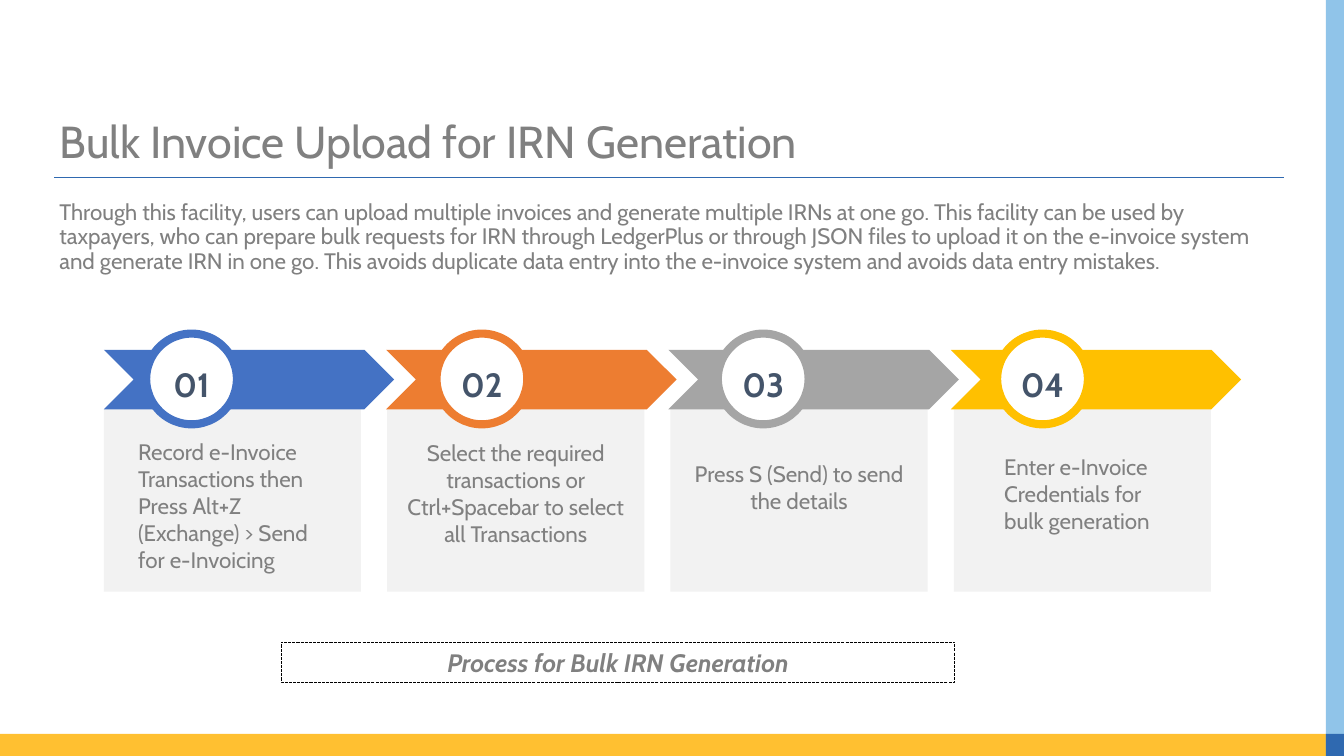
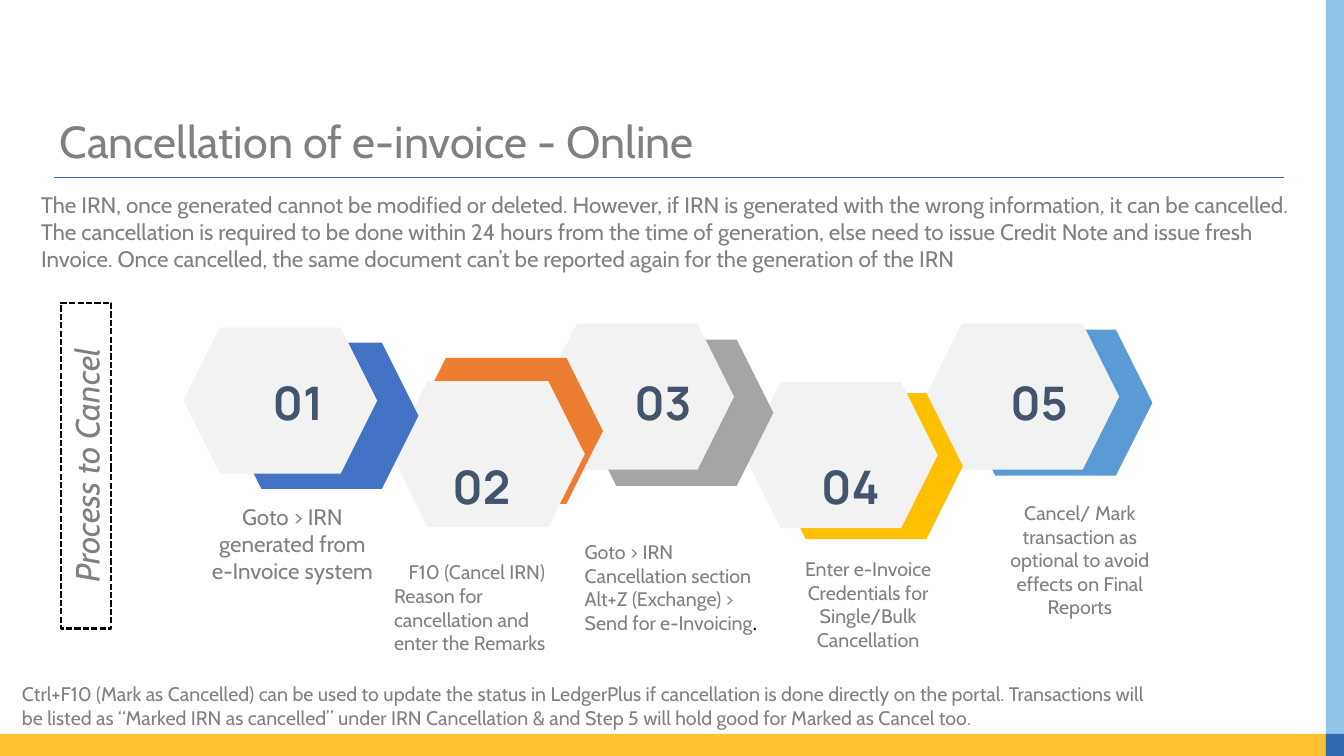
from dataclasses import dataclass

from lxml.etree import SubElement
from pptx import Presentation
from pptx.dml.color import RGBColor
from pptx.enum.dml import MSO_LINE
from pptx.enum.shapes import MSO_CONNECTOR, MSO_SHAPE
from pptx.enum.text import MSO_ANCHOR, PP_ALIGN
from pptx.oxml.ns import qn
from pptx.util import Pt

PX = 9144  # 100 px to the inch
LEFT, CENTER = PP_ALIGN.LEFT, PP_ALIGN.CENTER
TOP, MIDDLE = MSO_ANCHOR.TOP, MSO_ANCHOR.MIDDLE


@dataclass(frozen=True)
class Theme:
    font: str = "Cabin"
    number_font: str = "Manrope"
    stop_font: str = "Lato"
    text: str = "808080"
    number: str = "44546A"
    black: str = "000000"
    white: str = "FFFFFF"
    panel: str = "F2F2F2"
    band: str = "FFC031"
    side: str = "90C4E9"
    corner: str = "2F69B0"
    accents: tuple = ("4472C4", "ED7D31", "A5A5A5", "FFC000", "5B9BD5")
    title_size: int = 32
    label_size: int = 24
    caption_size: int = 18
    body_size: int = 16
    small_size: int = 14
    hexagon_size: int = 33


T = Theme()

# Shared frame: boxes are left, top, width, height
BANDS = [((0, 728, 1325, 22), T.band),
         ((1315, 0, 18, 743), T.side),
         ((1315, 728, 18, 22), T.corner)]
TITLE_BOX = (49, 118, 1220, 50)
RULE = (54, 176, 1273, 176)

# Slide 1
UPLOAD_TITLE = "Bulk Invoice Upload for IRN Generation"
UPLOAD_INTRO = (
    "Through this facility, users can upload multiple invoices and generate "
    "multiple IRNs at one go. This facility can be used by taxpayers, who can "
    "prepare bulk requests for IRN through LedgerPlus or through JSON files to "
    "upload it on the e-invoice system and generate IRN in one go. This avoids "
    "duplicate data entry into the e-invoice system and avoids data entry mistakes.")
UPLOAD_CAPTION = "Process for Bulk IRN Generation"
# ring left, alignment, anchor, insets (left, top, right, bottom), text
UPLOAD_STEPS = [
    (141, LEFT, TOP, (34, 29, 33, 0),
     "Record e-Invoice Transactions then Press Alt+Z (Exchange) > Send for e-Invoicing"),
    (429, CENTER, MIDDLE, (10, 5, 10, 20),
     "Select the required transactions or Ctrl+Spacebar to select all Transactions"),
    (708, CENTER, MIDDLE, (10, 5, 10, 32), "Press S (Send) to send the details"),
    (985, LEFT, TOP, (50, 44, 44, 0), "Enter e-Invoice Credentials for bulk generation"),
]

# Slide 2
CANCEL_TITLE = "Cancellation of e-invoice - Online"
CANCEL_INTRO = (
    "The IRN, once generated cannot be modified or deleted. However, if IRN is "
    "generated with the wrong information, it can be cancelled. The cancellation "
    "is required to be done within 24 hours from the time of generation, else "
    "need to issue Credit Note and issue fresh Invoice. Once cancelled, the same "
    "document can’t be reported again for the generation of the IRN")
CANCEL_LABEL = "Process to Cancel"
CANCEL_NOTE = (
    "Ctrl+F10 (Mark as Cancelled) can be used to update the status in LedgerPlus "
    "if cancellation is done directly on the portal. Transactions will be listed "
    "as “Marked IRN as cancelled” under IRN Cancellation & and Step 5 will hold "
    "good for Marked as Cancel too.")
# accent corner, panel corner, number corner, text box, type size, paragraphs
CANCEL_STEPS = [
    ((223, 340), (182, 325), (248, 366), (196, 494, 188, 91), T.body_size,
     [("Goto > IRN generated from e-Invoice system", CENTER)]),
    ((406, 355), (388, 378), (430, 450), (381, 551, 184, 128), T.small_size,
     [("F10 (Cancel IRN)", CENTER),
      ("Reason for cancellation and enter the Remarks", LEFT)]),
    ((575, 337), (536, 321), (610, 366), (570, 531, 198, 104), T.small_size,
     [("Goto > IRN Cancellation section", LEFT),
      ("Alt+Z (Exchange) > Send for e-Invoicing", LEFT)]),
    ((763, 390), (738, 379), (796, 450), (767, 548, 188, 104), T.small_size,
     [("Enter e-Invoice Credentials for Single/Bulk Cancellation", CENTER)]),
    ((951, 327), (918, 321), (983, 366), (977, 492, 188, 128), T.small_size,
     [("Cancel/ Mark transaction as optional to avoid effects on Final Reports", CENTER)]),
]
STOP_STEP = 3  # the step whose text ends in a black full stop


def px(*lengths):
    return [n * PX for n in lengths]


def rgb(color):
    return RGBColor.from_string(color)


def add_run(p, text, size=T.body_size, font=T.font, color=T.text, bold=False, italic=False):
    r = p.add_run()
    r.text = text
    r.font.name, r.font.size = font, Pt(size)
    r.font.color.rgb = rgb(color)
    r.font.bold, r.font.italic = bold, italic


def write(sp, text, align=LEFT, anchor=TOP, insets=(10, 5, 10, 5), spacing=None, **fmt):
    """Fill a shape with one text, or with a list of (text, alignment)."""
    tf = sp.text_frame
    tf.word_wrap, tf.vertical_anchor = True, anchor
    tf.margin_left, tf.margin_top, tf.margin_right, tf.margin_bottom = px(*insets)
    paragraphs = [(text, align)] if isinstance(text, str) else text
    for i, (words, side) in enumerate(paragraphs):
        p = tf.add_paragraph() if i else tf.paragraphs[0]
        p.alignment = side
        if spacing:
            p.line_spacing = spacing
        add_run(p, words, **fmt)
    return tf


def add_label(s, box, text, **fmt):
    return write(s.shapes.add_textbox(*px(*box)), text, **fmt)


def add_box(s, kind, box, fill=None, line=None, width=1, dash=None):
    sp = s.shapes.add_shape(kind, *px(*box))
    sp.shadow.inherit = False
    if fill:
        sp.fill.solid()
        sp.fill.fore_color.rgb = rgb(fill)
    else:
        sp.fill.background()
    if line:
        sp.line.color.rgb = rgb(line)
        sp.line.width = Pt(width)
        sp.line.dash_style = dash
    else:
        sp.line.fill.background()
    return sp


def set_frame(layout, s):
    """Give the layout its title place, bands and rule, drawn by way of a slide."""
    for ph in list(layout.placeholders):
        if ph.placeholder_format.idx:
            ph.element.getparent().remove(ph.element)
        else:
            ph.left, ph.top, ph.width, ph.height = px(*TITLE_BOX)
    parts = [add_box(s, MSO_SHAPE.RECTANGLE, box, color) for box, color in BANDS]
    rule = s.shapes.add_connector(MSO_CONNECTOR.STRAIGHT, *px(*RULE))
    rule.line.color.rgb = rgb(T.corner)
    rule.line.width = Pt(0.82)
    SubElement(rule.element.spPr, qn("a:effectLst"))
    for sp in parts + [rule]:
        layout.shapes.element.append(sp.element)


def add_slide(prs, layout, title):
    s = prs.slides.add_slide(layout)
    write(s.shapes.title, title, anchor=MIDDLE, spacing=0.9, size=T.title_size)
    return s


def fill_upload(s):
    add_label(s, (49, 195, 1211, 106), UPLOAD_INTRO, spacing=0.9)
    # Cards below, then chevrons, then numbered rings
    for i, (_, align, anchor, insets, text) in enumerate(UPLOAD_STEPS):
        card = add_box(s, MSO_SHAPE.RECTANGLE, (103 + 281 * i, 406, 255, 181), T.panel)
        write(card, text, align=align, anchor=anchor, insets=insets)
    for i, color in enumerate(T.accents[:len(UPLOAD_STEPS)]):
        add_box(s, MSO_SHAPE.CHEVRON, (103 + 280 * i, 347, 288, 59), color)
    for i, (left, *_) in enumerate(UPLOAD_STEPS):
        ring = add_box(s, MSO_SHAPE.OVAL, (left + 4, 331, 90, 90), T.white,
                       line=T.accents[i], width=5.8)
        write(ring, f"{i + 1:02}", align=CENTER, anchor=MIDDLE, insets=(0, 10, 0, 0),
              size=T.label_size, color=T.number, bold=True)
    caption = add_box(s, MSO_SHAPE.RECTANGLE, (279, 637, 668, 40), line=T.black,
                      width=0.75, dash=MSO_LINE.SQUARE_DOT)
    write(caption, UPLOAD_CAPTION, align=CENTER, anchor=MIDDLE,
          size=T.caption_size, bold=True, italic=True)


def fill_cancel(s):
    add_label(s, (31, 185, 1261, 118), CANCEL_INTRO)
    # Hexagon pairs, last step at the back
    for (accent, panel, *_), color in reversed(list(zip(CANCEL_STEPS, T.accents))):
        for corner, fill in ((accent, color), (panel, T.panel)):
            add_box(s, MSO_SHAPE.HEXAGON, (*corner, 192, 145), fill)
    # Numbers and step texts
    for i, (_, _, corner, box, size, text) in enumerate(CANCEL_STEPS, 1):
        add_label(s, (*corner, 95, 66), f"{i:02}", align=CENTER, size=T.hexagon_size,
                  font=T.number_font, color=T.number, bold=True)
        tf = add_label(s, box, text, size=size)
        if i == STOP_STEP:
            add_run(tf.paragraphs[-1], ".", size=size, font=T.stop_font, color=T.black)
    # Upright label and closing note
    label = add_box(s, MSO_SHAPE.RECTANGLE, (-76, 437, 323, 50), line=T.black,
                    width=1.5, dash=MSO_LINE.SQUARE_DOT)
    label.rotation = 270
    write(label, CANCEL_LABEL, align=CENTER, anchor=MIDDLE, size=T.label_size, italic=True)
    add_label(s, (12, 672, 1153, 57), CANCEL_NOTE, size=T.small_size)


def main():
    prs = Presentation()
    prs.slide_width, prs.slide_height = px(1333, 750)
    layout = prs.slide_layouts[5]
    upload = add_slide(prs, layout, UPLOAD_TITLE)
    set_frame(layout, upload)
    fill_upload(upload)
    fill_cancel(add_slide(prs, layout, CANCEL_TITLE))
    prs.save("out.pptx")


if __name__ == "__main__":
    main()
